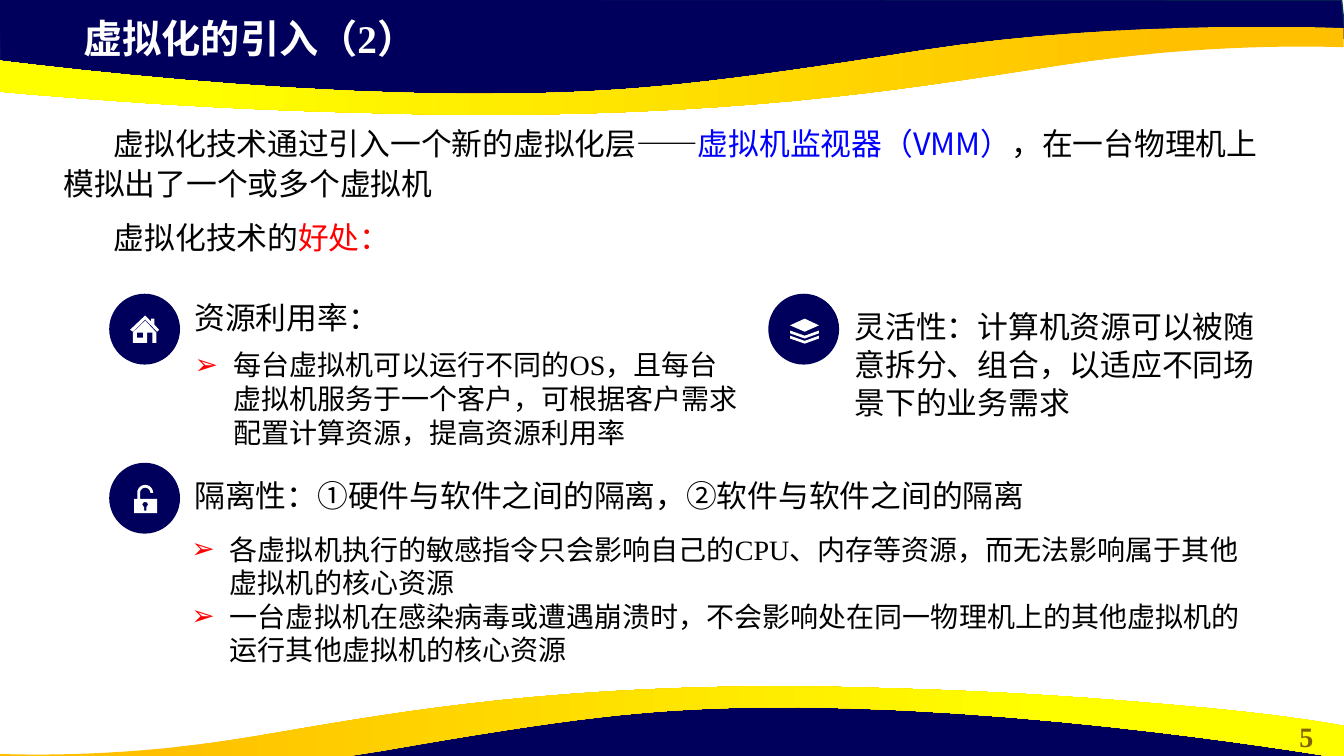
import math

import pptx
import pptx.dml.color
import pptx.enum.shapes
import pptx.enum.text
import pptx.util
from lxml import etree

Cm = pptx.util.Cm
Pt = pptx.util.Pt
ANCHOR = pptx.enum.text.MSO_ANCHOR
ALIGN = pptx.enum.text.PP_ALIGN

NAVY, WHITE, BLACK, RED, BLUE = "00005C", "FFFFFF", "000000", "FF0000", "0000FF"
SERIF, SANS = "Times New Roman", "Noto Sans CJK SC"
DRAWING = "{http://schemas.openxmlformats.org/drawingml/2006/main}"


def add_outline(contours):
    """Add one freeform from lists of (x, y) points in centimetres."""
    builder = None
    for contour in contours:
        points = [(Cm(x), Cm(y)) for x, y in contour]
        if builder is None:
            builder = slide.shapes.build_freeform(*points[0], scale=1.0)
        else:
            builder.move_to(*points[0])
        builder.add_line_segments(points[1:], close=True)
    outline = builder.convert_to_shape()
    outline.shadow.inherit = False
    outline.line.fill.background()
    outline.fill.solid()
    outline.fill.fore_color.rgb = pptx.dml.color.RGBColor.from_string(WHITE)
    return outline


def add_run(paragraph, text, size, color=BLACK, font=SERIF, bold=False):
    run = paragraph.add_run()
    run.text = text
    run.font.name = font
    run.font.size = Pt(size)
    run.font.bold = bold
    run.font.color.rgb = pptx.dml.color.RGBColor.from_string(color)
    east_asian = etree.Element(DRAWING + "ea", typeface=SANS)
    run.font._element.find(DRAWING + "latin").addnext(east_asian)


presentation = pptx.Presentation()
presentation.slide_width = Cm(33.87)
presentation.slide_height = Cm(19.05)
slide = presentation.slides.add_slide(presentation.slide_layouts[3])
title, utilisation_list, isolation_list = slide.placeholders

# Navy bands and golden waves; the bottom pair is the top pair turned half round
top_band = [(-0.03, -0.03), (0, 1.78), (7.44, 2.59), (14.2, 2.54), (20.19, 2.24),
            (25.81, 1.27), (31.45, 0.84), (33.91, 0.97), (33.81, 0)]
bottom_band = [(33.83 - x, 20.14 - y) for x, y in top_band]

wave_curves = [
    [(12.27, 2.9), (11.25, 2.9), (10.19, 2.87), (9.04, 2.84)],
    [(9.04, 2.84), (5.23, 2.74), (2.79, 2.54), (0.91, 2.39)],
    [(0.91, 2.39), (-2.24, 2.13), (-3.3, 1.9), (-3.38, 1.9)],
    [(-3.38, 1.07), (-3.38, 1.07), (5.54, 2.49), (13.13, 2.36)],
    [(13.13, 2.36), (15.9, 2.31), (17.98, 2.11), (23.24, 1.27)],
    [(23.24, 1.27), (28.47, 0.46), (33.86, 0.71), (33.86, 0.71)],
    [(33.86, 1.19), (33.15, 1.17), (30.35, 1.09), (26.8, 1.63)],
    [(26.8, 1.63), (23.32, 2.16), (19.35, 2.87), (12.27, 2.9)],
]
STEPS = 16
top_wave = []
for curve in wave_curves:
    for step in range(STEPS + 1):
        t = step / STEPS
        weights = [(1 - t) ** 3, 3 * t * (1 - t) ** 2, 3 * t ** 2 * (1 - t), t ** 3]
        top_wave.append(tuple(sum(w * point[axis] for w, point in zip(weights, curve))
                              for axis in (0, 1)))
bottom_wave = [(33.86 - (x + 3.38) * 0.91, 20.19 - y) for x, y in top_wave]

backdrop = []
for band_points, wave_points, angle in [(top_band, top_wave, 180), (bottom_band, bottom_wave, 0)]:
    band = add_outline([band_points])
    band.fill.fore_color.rgb = pptx.dml.color.RGBColor.from_string(NAVY)
    band.line.color.rgb = pptx.dml.color.RGBColor.from_string("05304F")
    band.line.width = Pt(1)
    wave = add_outline([wave_points])
    wave.fill.gradient()
    wave.fill.gradient_angle = angle
    for stop, position, color in zip(wave.fill.gradient_stops, (0.11, 0.78), ("FFC000", "FFFF00")):
        stop.position = position
        stop.color.rgb = pptx.dml.color.RGBColor.from_string(color)
    backdrop += [band, wave]
for depth, part in enumerate(backdrop):
    slide.shapes.element.insert(2 + depth, part.element)

# Title
title.left, title.top, title.width, title.height = Cm(1.85), Cm(0.23), Cm(19.5), Cm(1.45)
title.text_frame.auto_size = pptx.enum.text.MSO_AUTO_SIZE.NONE
title.text_frame.vertical_anchor = ANCHOR.MIDDLE
heading = title.text_frame.paragraphs[0]
heading.alignment = ALIGN.LEFT
add_run(heading, "虚拟化的引入（2）", 28, WHITE, bold=True)

# Introduction
intro = slide.shapes.add_textbox(Cm(1.35), Cm(2.95), Cm(31.14), Cm(3.99)).text_frame
intro.word_wrap = True
intro_paragraphs = [
    [("虚拟化技术通过引入一个新的虚拟化层——", BLACK), ("虚拟机监视器（VMM）", BLUE),
     ("，在一台物理机上模拟出了一个或多个虚拟机", BLACK)],
    [("虚拟化技术的", BLACK), ("好处：", RED)],
]
for index, pieces in enumerate(intro_paragraphs):
    paragraph = intro.add_paragraph() if index else intro.paragraphs[0]
    paragraph._p.get_or_add_pPr().set("indent", str(Cm(1.27)))
    paragraph.line_spacing = 1.08
    if index:
        paragraph.space_before = Pt(10)
    for text, color in pieces:
        add_run(paragraph, text, 22, color, SANS)

# Benefits, and the lists below them
benefits = [
    (4.65, 7.44, 20.17, 1.12, 1.0, "资源利用率："),
    (21.29, 7.44, 10.95, 3.45, 1.02, "灵活性：计算机资源可以被随意拆分、组合，以适应不同场景下的业务需求"),
    (4.65, 11.91, 27.13, 1.14, 1.0, "隔离性：①硬件与软件之间的隔离，②软件与软件之间的隔离"),
]
for left, top, width, height, spacing, text in benefits:
    benefit = slide.shapes.add_textbox(Cm(left), Cm(top), Cm(width), Cm(height)).text_frame
    benefit.word_wrap = True
    benefit.vertical_anchor = ANCHOR.MIDDLE
    benefit.paragraphs[0].line_spacing = spacing
    add_run(benefit.paragraphs[0], text, 22)

detail_lists = [
    (utilisation_list, 4.65, 8.64, 14.22, 3.25,
     ["每台虚拟机可以运行不同的OS，且每台虚拟机服务于一个客户，可根据客户需求配置计算资源，提高资源利用率"]),
    (isolation_list, 4.57, 13.28, 27.3, 4.19,
     ["各虚拟机执行的敏感指令只会影响自己的CPU、内存等资源，而无法影响属于其他虚拟机的核心资源",
      "一台虚拟机在感染病毒或遭遇崩溃时，不会影响处在同一物理机上的其他虚拟机的运行其他虚拟机的核心资源"]),
]
for details, left, top, width, height, items in detail_lists:
    details.left, details.top = Cm(left), Cm(top)
    details.width, details.height = Cm(width), Cm(height)
    details.text_frame.auto_size = pptx.enum.text.MSO_AUTO_SIZE.NONE
    for index, item in enumerate(items):
        paragraph = details.text_frame.add_paragraph() if index else details.text_frame.paragraphs[0]
        properties = paragraph._p.get_or_add_pPr()
        properties.set("marL", str(Cm(0.97)))
        properties.set("indent", str(-Cm(0.97)))
        bullet_color = etree.SubElement(properties, DRAWING + "buClr")
        etree.SubElement(bullet_color, DRAWING + "srgbClr", val=RED)
        etree.SubElement(properties, DRAWING + "buChar", char="➢")
        paragraph.space_before = Pt(0)
        paragraph.line_spacing = 1.0
        add_run(paragraph, item, 20)

# Icons on navy discs
for left, top in [(2.77, 7.42), (2.77, 11.68), (19.38, 7.42)]:
    disc = slide.shapes.add_shape(pptx.enum.shapes.MSO_SHAPE.OVAL, Cm(left), Cm(top), Cm(1.75), Cm(1.75))
    disc.shadow.inherit = False
    disc.fill.solid()
    disc.fill.fore_color.rgb = pptx.dml.color.RGBColor.from_string(NAVY)
    disc.line.color.rgb = pptx.dml.color.RGBColor.from_string(NAVY)
    disc.line.width = Pt(1)

roof = [(3.28, 8.31), (3.66, 7.95), (3.81, 8.1), (3.81, 8.03), (3.89, 8.03),
        (3.89, 8.18), (4.01, 8.31), (3.96, 8.36), (3.66, 8.05), (3.35, 8.36)]
walls = [(3.35, 8.38), (3.66, 8.08), (3.94, 8.38), (3.94, 8.64), (3.84, 8.64),
         (3.84, 8.38), (3.71, 8.38), (3.71, 8.64), (3.35, 8.64)]
window = [(3.45, 8.38), (3.61, 8.38), (3.61, 8.51), (3.45, 8.51)]
add_outline([roof, walls, window])

layers = [[(19.91, 8.2), (20.28, 8.03), (20.64, 8.2), (20.28, 8.36)]]
for y in (8.33, 8.46):
    layers.append([(19.91, y), (20.28, y + 0.13), (20.64, y),
                   (20.64, y + 0.07), (20.28, y + 0.2), (19.91, y + 0.07)])
add_outline(layers)

lock_body = [(3.38, 12.57), (3.96, 12.57), (3.96, 12.93), (3.38, 12.93)]
arc = [(math.cos(math.radians(a)), math.sin(math.radians(a))) for a in range(180, 361, 15)]
shackle = [(3.46, 12.57)] + [(3.66 + 0.2 * x, 12.42 + 0.2 * y) for x, y in arc]
shackle += [(3.66 + 0.13 * x, 12.42 + 0.13 * y) for x, y in reversed(arc)] + [(3.53, 12.57)]
keyhole = [(3.66 + 0.07 * x, 12.72 + 0.07 * y) for x, y in arc]
keyhole += [(3.69, 12.78), (3.69, 12.87), (3.63, 12.87), (3.63, 12.78)]
add_outline([lock_body, shackle, keyhole])

# Page number
page_number = slide.shapes.add_textbox(Cm(32), Cm(18.01), Cm(1.85), Cm(1.12)).text_frame
page_number.word_wrap = True
page_number.paragraphs[0].alignment = ALIGN.CENTER
add_run(page_number.paragraphs[0], "5", 20, "806000", bold=True)

presentation.save("out.pptx")
